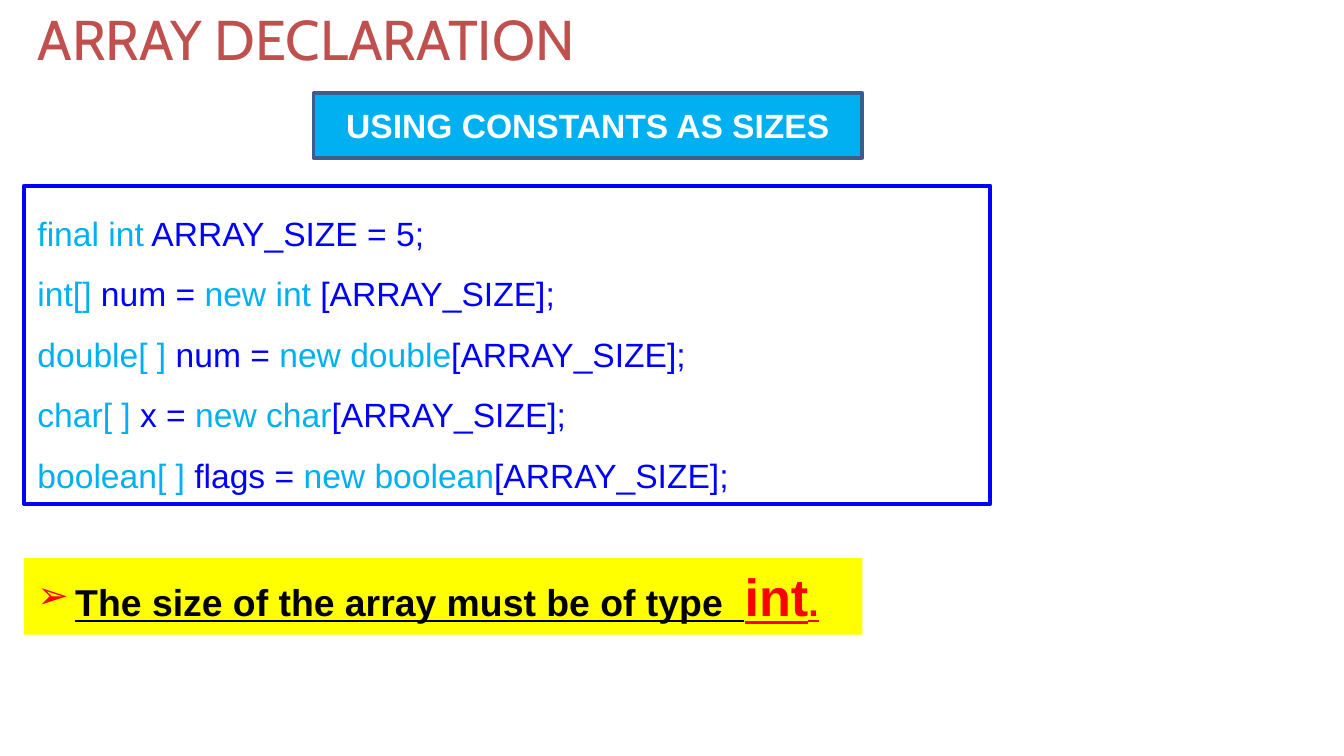
from lxml import etree
from pptx import Presentation
from pptx.dml.color import RGBColor
from pptx.enum import shapes, text
from pptx.oxml.ns import qn
from pptx.util import Pt

HUES = {"brick": "C0504D", "sky": "00B0F0", "steel": "3A5F8C", "blue": "0000FF",
        "sun": "FFFF00", "red": "FF0000", "black": "000000", "white": "FFFFFF"}


def hue(name):
    return RGBColor.from_string(HUES[name])


class Deck:
    """Holds the style and the current slide."""
    font = "Arial"
    left = 13

    def __init__(self, wide, high):
        self.prs = Presentation()
        self.prs.slide_width, self.prs.slide_height = Pt(wide), Pt(high)
        self.slide = self.prs.slides.add_slide(self.prs.slide_layouts[5])

    def fill_in(self, para, runs, **base):
        """Add runs, each a (words, colour, format) triple."""
        for words, tint, extra in runs:
            run = para.add_run()
            run.text = words
            run.font.color.rgb = hue(tint)
            style = {"name": self.font, "size": Pt(18), **base, **extra}
            for key, value in style.items():
                setattr(run.font, key, value)

    def title(self, words, area):
        shape = self.slide.shapes.title
        shape.left, shape.top, shape.width, shape.height = map(Pt, area)
        frame = shape.text_frame
        frame.auto_size = text.MSO_AUTO_SIZE.NONE
        frame.vertical_anchor = text.MSO_ANCHOR.MIDDLE
        para = frame.paragraphs[0]
        para.alignment = text.PP_ALIGN.LEFT
        self.fill_in(para, [(words, "brick", {})], name="Cabin", size=Pt(30))

    def box(self, area, fill=None, edge=None, width=2):
        """Draw a rectangle and return its text frame."""
        shape = self.slide.shapes.add_shape(
            shapes.MSO_SHAPE.RECTANGLE, *map(Pt, area))
        shape.shadow.inherit = False
        if fill:
            shape.fill.solid()
            shape.fill.fore_color.rgb = hue(fill)
        else:
            shape.fill.background()
        if edge:
            shape.line.color.rgb = hue(edge)
            shape.line.width = Pt(width)
        else:
            shape.line.fill.background()
        frame = shape.text_frame
        frame.word_wrap = True
        frame.vertical_anchor = text.MSO_ANCHOR.TOP
        return frame

    def lines(self, frame, rows, align=text.PP_ALIGN.LEFT, space=1.0, **base):
        for i, runs in enumerate(rows):
            para = frame.add_paragraph() if i else frame.paragraphs[0]
            para.alignment = align
            para.line_spacing = space
            self.fill_in(para, runs, **base)

    def bullet(self, para, mark, tint, indent):
        props = para._p.get_or_add_pPr()
        props.set("marL", str(Pt(indent)))
        props.set("indent", str(-Pt(indent)))
        paint = etree.SubElement(props, qn("a:buClr"))
        etree.SubElement(paint, qn("a:srgbClr"), val=HUES[tint])
        etree.SubElement(props, qn("a:buFont"), typeface=self.font)
        etree.SubElement(props, qn("a:buChar"), char=mark)


def main():
    deck = Deck(720, 405)
    left = deck.left

    # Title
    deck.title("ARRAY DECLARATION", (left, 3, 512, 35))

    # Banner
    banner = deck.box((168, 50, 294, 34.5), "sky", "steel")
    banner.vertical_anchor = text.MSO_ANCHOR.MIDDLE
    deck.lines(banner, [[("USING CONSTANTS AS SIZES", "white", {})]],
               text.PP_ALIGN.CENTER, bold=True)

    # Code: keywords and names take turns
    code = [
        ("final int", " ARRAY_SIZE = 5;"),
        ("int[] ", "num = ", "new int ", "[ARRAY_SIZE];"),
        ("double[ ] ", "num = ", "new double", "[ARRAY_SIZE];"),
        ("char[ ] ", "x = ", "new char", "[ARRAY_SIZE];"),
        ("boolean[ ]", " flags = ", "new boolean", "[ARRAY_SIZE];"),
    ]
    rows = [[(part, ("sky", "blue")[i % 2], {}) for i, part in enumerate(row)]
            for row in code]
    deck.lines(deck.box((left, 99.5, 517.5, 170.5), edge="blue", width=2.25),
               rows, space=1.5)

    # Rule
    note = deck.box((left, 299, 449, 41), "sun")
    deck.lines(note, [[("The size of the array must be of type  ", "black", {}),
                       ("int", "red", {"size": Pt(28)}),
                       (".", "red", {})]],
               size=Pt(20), bold=True, underline=True)
    deck.bullet(note.paragraphs[0], "➢", "red", 20.25)

    deck.prs.save("out.pptx")


if __name__ == "__main__":
    main()
